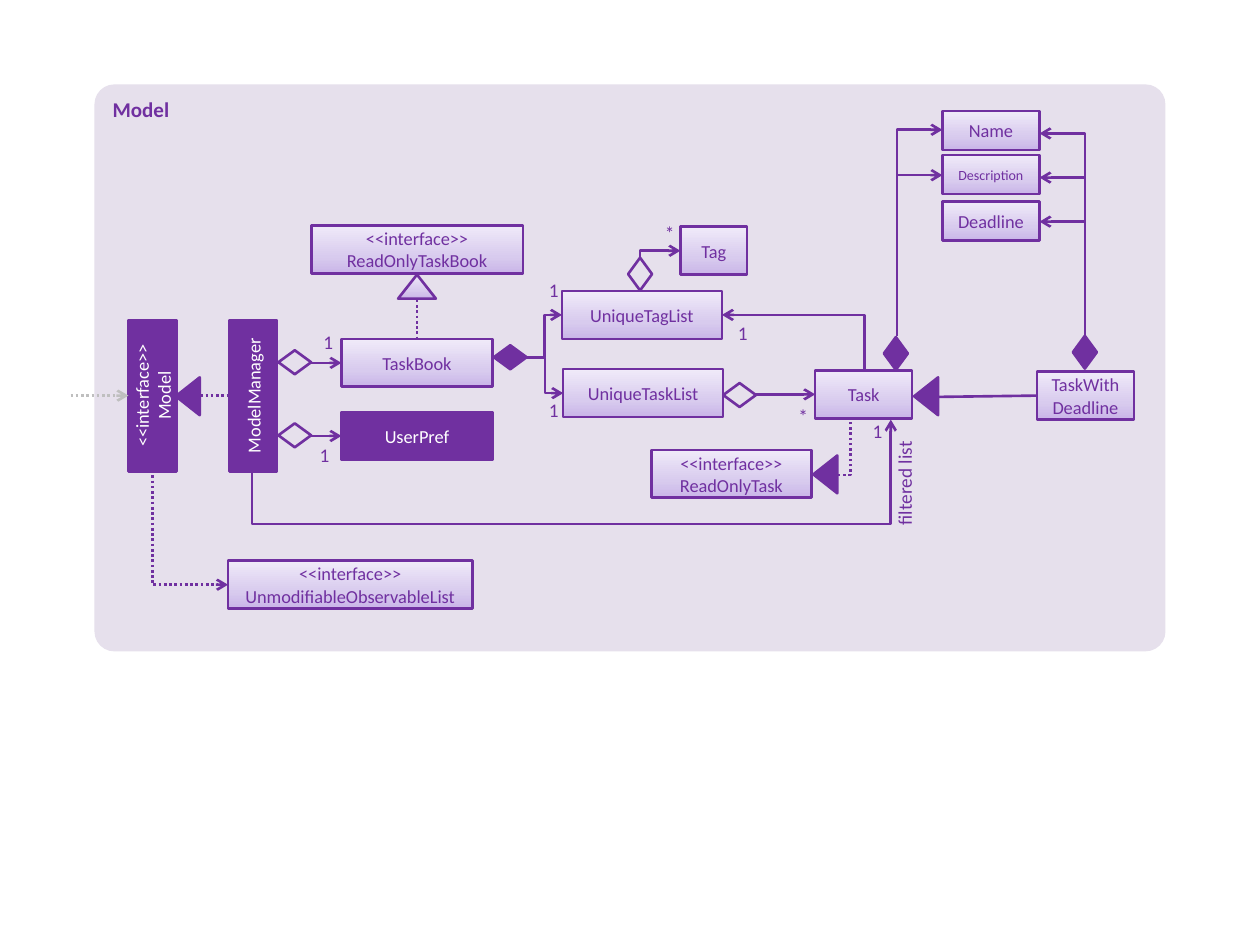
import dataclasses
import pptx
import pptx.dml.color
import pptx.enum.dml
import pptx.enum.shapes
import pptx.enum.text
import pptx.oxml
import pptx.oxml.ns
import pptx.util

COLORS = {"panel": "E6E0EC", "purple": "7030A0", "white": "FFFFFF", "grey": "BFBFBF"}
GRADIENT = ((0, "C9B5E8"), (0.35, "D8CBEE"), (1, "F0EAF9"))
SHAPES = pptx.enum.shapes.MSO_SHAPE
ALIGN = pptx.enum.text.PP_ALIGN
ANCHOR = pptx.enum.text.MSO_ANCHOR
CONNECTOR = pptx.enum.shapes.MSO_CONNECTOR
NAMESPACE = pptx.oxml.ns.nsdecls("a")
ROW = 0.38  # height of a class box
DETAIL = 0.77  # width of a task box


def rgb(name):
    return pptx.dml.color.RGBColor.from_string(COLORS.get(name, name))


def set_values(target, **values):
    for name, value in values.items():
        setattr(target, name, value)


def set_text(shape, text, size, color, align, bold=False, **frame_values):
    set_values(shape.text_frame, word_wrap=True, **frame_values)
    shape.text_frame.text = text
    for paragraph in shape.text_frame.paragraphs:
        paragraph.alignment = align
        for run in paragraph.runs:
            set_values(run.font, name="Calibri", size=pptx.util.Pt(size), bold=bold)
            run.font.color.rgb = rgb(color)


def set_fill(shape, fill):
    if fill is None:
        shape.fill.background()
    elif fill == "gradient":
        shape.fill.gradient()
        shape.fill.gradient_angle = 90
        stop_list = shape._element.spPr.find(pptx.oxml.ns.qn("a:gradFill")).gsLst
        for stop in list(stop_list):
            stop_list.remove(stop)
        for position, color in GRADIENT:
            stop_list.append(pptx.oxml.parse_xml(
                f'<a:gs {NAMESPACE} pos="{int(position * 100000)}"><a:srgbClr val="{color}"/></a:gs>'))
    else:
        shape.fill.solid()
        shape.fill.fore_color.rgb = rgb(fill)


def set_line(line, color="purple"):
    line.color.rgb = rgb(color)
    line.width = pptx.util.Pt(1.5)


@dataclasses.dataclass
class Region:
    """Part of the diagram; all places are inches from its corner."""
    slide: object
    left: float
    top: float

    def across(self, x):
        return pptx.util.Inches(self.left + x)

    def down(self, y):
        return pptx.util.Inches(self.top + y)

    def shape(self, kind, x, y, width, height, fill, turn=0):
        shape = self.slide.shapes.add_shape(
            kind, self.across(x), self.down(y), pptx.util.Inches(width), pptx.util.Inches(height))
        shape.shadow.inherit = False
        shape.rotation = turn
        set_fill(shape, fill)
        set_line(shape.line)
        return shape

    def box(self, text, x, y, width=1.2, height=ROW, fill="gradient", size=10.5, turn=0):
        shape = self.shape(SHAPES.RECTANGLE, x, y, width, height, fill, turn)
        color = "purple" if fill == "gradient" else "white"
        set_text(shape, text, size, color, ALIGN.CENTER, vertical_anchor=ANCHOR.MIDDLE)

    def diamond(self, x, y, fill=None, turn=0):
        self.shape(SHAPES.FLOWCHART_DECISION, x, y, 0.26, 0.19, fill, turn)

    def triangle(self, x, y, fill="purple", turn=270):
        self.shape(SHAPES.ISOSCELES_TRIANGLE, x, y, 0.3, 0.19, fill, turn)

    def label(self, text, x, y, width=0.21, height=0.2, align=ALIGN.CENTER, turn=0, **margins):
        label = self.slide.shapes.add_textbox(
            self.across(x), self.down(y), pptx.util.Inches(width), pptx.util.Inches(height))
        label.rotation = turn
        set_text(label, text, 11, "purple", align, **margins)

    def multiplicity(self, text, x, y):
        self.label(text, x, y, margin_left=0, margin_right=0, margin_top=0, margin_bottom=0)

    def connect(self, start, end, route="line", first="across", bend=None,
                color="purple", dotted=False, arrow=True):
        (x1, y1), (x2, y2) = start, end
        turn = 0
        if first == "down":
            # A path that starts vertically is a horizontal one turned about its centre
            run, rise = abs(y2 - y1), abs(x2 - x1)
            turn = 90 if y2 > y1 else 270
            mirrored = (x2 - x1) * (y2 - y1) > 0
            middle_x, middle_y = (x1 + x2) / 2, (y1 + y2) / 2
            x1, x2 = middle_x - run / 2, middle_x + run / 2
            y1, y2 = middle_y - rise / 2, middle_y + rise / 2
            if mirrored:
                y1, y2 = y2, y1
        kind = CONNECTOR.STRAIGHT if route == "line" else CONNECTOR.ELBOW
        connector = self.slide.shapes.add_connector(
            kind, self.across(x1), self.down(y1), self.across(x2), self.down(y2))
        set_line(connector.line, color)
        if dotted:
            connector.line.dash_style = pptx.enum.dml.MSO_LINE.ROUND_DOT
        properties = connector._element.spPr
        if turn:
            properties.find(pptx.oxml.ns.qn("a:xfrm")).set("rot", str(turn * 60000))
        geometry = properties.find(pptx.oxml.ns.qn("a:prstGeom"))
        geometry.set("prst", route)
        if bend is not None:
            geometry.find(pptx.oxml.ns.qn("a:avLst")).append(pptx.oxml.parse_xml(
                f'<a:gd {NAMESPACE} name="adj1" fmla="val {int(bend * 100000)}"/>'))
        if arrow:
            properties.find(pptx.oxml.ns.qn("a:ln")).append(
                pptx.oxml.parse_xml(f'<a:tailEnd {NAMESPACE} type="arrow"/>'))
        properties.append(pptx.oxml.parse_xml(f"<a:effectLst {NAMESPACE}/>"))


CORNER, STEP = "bentConnector2", "bentConnector3"


def draw_panel(region, width, height):
    panel = region.shape(SHAPES.ROUNDED_RECTANGLE, 0, 0, width, height, "panel")
    panel.adjustments[0] = 0.035
    panel.line.fill.background()
    set_text(panel, "Model", 12, "purple", ALIGN.LEFT, True, vertical_anchor=ANCHOR.TOP)


def draw_manager(region):
    # Model interface, its manager and what the manager holds
    region.box("<<interface>>\nModel", -0.39, 1.25, fill="purple", turn=270)
    region.box("ModelManager", 0.41, 1.25, fill="purple", turn=270)
    region.box("UserPref", 1.71, 1.57, fill="purple")
    region.box("TaskBook", 1.71, 0.99)
    region.box("<<interface>>\vReadOnlyTaskBook", 1.47, 0.09, 1.68)
    region.box("<<interface>>\vUnmodifiableObservableList", 0.81, 2.75, 1.94)
    region.triangle(0.34, 1.35)
    region.connect((-0.44, 1.44), (0.02, 1.44), color="grey", dotted=True)
    region.connect((0.59, 1.44), (0.82, 1.44), dotted=True, arrow=False)
    for y in (1.08, 1.66):
        region.diamond(1.21, y)
        region.connect((1.47, y + 0.1), (1.71, y + 0.1))
    region.connect((2.31, 0.68), (2.31, 1), dotted=True, arrow=False)
    region.triangle(2.16, 0.48, "gradient", 0)
    region.connect((0.21, 2.03), (0.81, 2.94), CORNER, "down", dotted=True)
    region.multiplicity("1", 1.5, 0.92)
    region.multiplicity("1", 1.47, 1.82)


def draw_lists(region):
    # Unique lists and the tag
    for text, x, y in (("UniqueTagList", 0.46, 0.61), ("UniqueTaskList", 0.47, 1.23)):
        region.box(text, x, y, 1.27)
        region.connect((0.18, 1.14), (x, y + ROW / 2), STEP)
    region.box("Tag", 1.4, 0.1, 0.53)
    region.diamond(-0.08, 1.04, "purple")
    region.diamond(1.74, 1.34)
    region.diamond(0.95, 0.38, turn=270)
    region.connect((1.08, 0.34), (1.4, 0.29), CORNER, "down")
    region.connect((1.99, 1.43), (2.47, 1.43))
    for text, x, y in (("1", 0.29, 0.51), ("1", 0.29, 1.46), ("1", 1.79, 0.85),
                       ("*", 1.21, 0.06), ("*", 2.27, 1.51)):
        region.multiplicity(text, x, y)


def draw_task(region):
    # Task, its read-only interface and the filtered list
    region.connect((1.65, 0.87), (1.75, 0.41), CORNER, dotted=True, arrow=False)
    region.connect((-3, 0.84), (2.07, 0.43), STEP, "down", bend=-1.02)
    region.box("Task", 1.47, 0.04, DETAIL)
    region.box("<<interface>>\vReadOnlyTask", 0.17, 0.67, 1.27)
    region.triangle(1.4, 0.77)
    region.connect((1.86, 0.04), (0.73, -0.4), CORNER, "down")
    region.multiplicity("1", 1.86, 0.43)
    region.label("filtered list", 1.7, 0.84, 0.96, 0.29, ALIGN.RIGHT, 270)


def draw_details(region):
    # Parts of a task and the task with a deadline
    for text, y, size in (("Name", 0.08, 10.5), ("Description", 0.43, 8), ("Deadline", 0.8, 10.5)):
        region.box(text, 0.48, y, DETAIL, 0.31, size=size)
    region.box("TaskWithDeadline", 1.23, 2.15, DETAIL)
    region.triangle(0.2, 2.25)
    region.connect((1.23, 2.34), (0.44, 2.35), arrow=False)
    for start, end in ((0.96, 0.23), (1.87, 0.59)):
        region.connect((0.12, start), (0.48, end), CORNER, "down")
    for end in (0.26, 0.61, 0.96):
        region.connect((1.61, end + 1.17), (1.25, end), CORNER, "down")
    region.diamond(-0.02, 1.91, "purple", 270)
    region.diamond(1.48, 1.9, "purple", 270)


presentation = pptx.Presentation()
set_values(presentation, slide_width=pptx.util.Inches(10), slide_height=pptx.util.Inches(7.5))
slide = presentation.slides.add_slide(presentation.slide_layouts[6])
draw_panel(Region(slide, 0.75, 0.67), 8.5, 4.5)
draw_manager(Region(slide, 1, 1.7))
draw_lists(Region(slide, 4, 1.7))
draw_task(Region(slide, 5, 2.9))
draw_details(Region(slide, 7, 0.8))
presentation.save("out.pptx")
